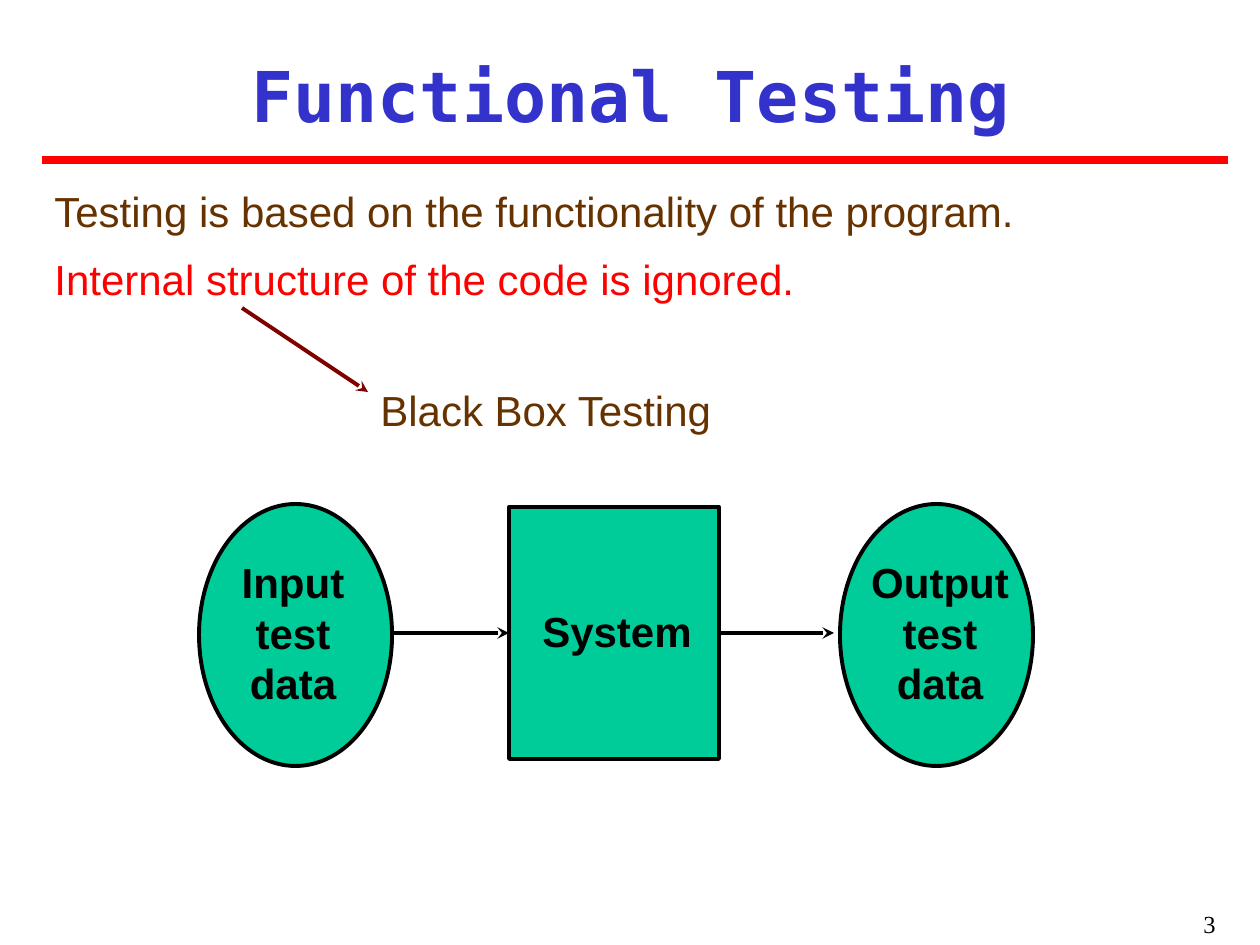
from dataclasses import dataclass

from lxml import etree
from pptx import Presentation
from pptx import util as u
from pptx.dml.color import RGBColor
from pptx.enum import shapes, text
from pptx.oxml.ns import qn

PX = u.Inches(1) // 126


@dataclass(frozen=True)
class Theme:
    title: str = "3333CC"
    body: str = "663300"
    alert: str = "FF0000"
    pointer: str = "800000"
    ink: str = "000000"
    node: str = "00CC99"
    title_font: str = "DejaVu Sans Mono"
    body_font: str = "Arial"
    number_font: str = "Times New Roman"
    title_size: float = 40
    body_size: float = 24
    number_size: float = 14
    rule_width: float = 4.5
    line_width: float = 2.25


THEME = Theme()
ALIGN = text.PP_ALIGN
OVAL = shapes.MSO_SHAPE.OVAL
RECTANGLE = shapes.MSO_SHAPE.RECTANGLE

TITLE = "Functional Testing"
STATEMENTS = [
    ("Testing is based on the functionality of the program.", THEME.body),
    ("Internal structure of the code is ignored.", THEME.alert),
]
CONCLUSION = [("Black Box Testing", THEME.body)]
SLIDE_NUMBER = "3"

# Label, shape, box of the shape, left and top of the label, label height
NODES = [
    ("Input test data", OVAL, (199, 504, 193, 262), (209, 557), 151),
    ("System", RECTANGLE, (509, 507, 210, 252), (533, 606), 50),
    ("Output test data", OVAL, (840, 504, 193, 262), (856, 557), 151),
]
LABEL_WIDTH = 168
FLOW_Y = 633


def color(value):
    return RGBColor.from_string(value)


def scaled(*lengths):
    return [length * PX for length in lengths]


def fill_text(shape, lines, align, font, size, bold=False, inset=(0, 0),
              gap=0, anchor=text.MSO_ANCHOR.TOP):
    """Write (text, colour) lines into a shape, one paragraph each."""
    frame = shape.text_frame
    frame.word_wrap = True
    frame.auto_size = text.MSO_AUTO_SIZE.NONE
    frame.vertical_anchor = anchor
    frame.margin_left = frame.margin_right = u.Inches(inset[0])
    frame.margin_top = frame.margin_bottom = u.Inches(inset[1])
    frame.text = "\n".join(line for line, _ in lines)
    for index, (paragraph, (_, ink)) in enumerate(zip(frame.paragraphs, lines)):
        paragraph.alignment = align
        paragraph.space_before = u.Pt(gap if index else 0)
        paragraph.space_after = u.Pt(gap)
        for run in paragraph.runs:
            run.font.name = font
            run.font.size = u.Pt(size)
            run.font.bold = bold
            run.font.color.rgb = color(ink)


def add_text(slide, box, lines, align, font=THEME.body_font,
             size=THEME.body_size, **options):
    shape = slide.shapes.add_textbox(*scaled(*box))
    fill_text(shape, lines, align, font, size, **options)


def add_line(slide, start, end, ink, width=THEME.line_width, arrow=True):
    line = slide.shapes.add_connector(
        shapes.MSO_CONNECTOR.STRAIGHT, *scaled(*start, *end))
    line.line.color.rgb = color(ink)
    line.line.width = u.Pt(width)
    if arrow:
        etree.SubElement(line.line._get_or_add_ln(), qn("a:tailEnd"),
                         type="stealth")
    etree.SubElement(line._element.spPr, qn("a:effectLst"))
    return line


def add_node(slide, kind, box):
    node = slide.shapes.add_shape(kind, *scaled(*box))
    node.shadow.inherit = False
    node.fill.solid()
    node.fill.fore_color.rgb = color(THEME.node)
    node.line.color.rgb = color(THEME.ink)
    node.line.width = u.Pt(THEME.line_width)
    return node


def add_title(slide):
    title = slide.shapes.title
    title.left, title.top, title.width, title.height = scaled(32, 42, 1197, 105)
    fill_text(title, [(TITLE, THEME.title)], ALIGN.CENTER, THEME.title_font,
              THEME.title_size, bold=True, inset=(0.02, 0.05),
              anchor=text.MSO_ANCHOR.MIDDLE)


def add_flow(slide):
    nodes = [add_node(slide, kind, box) for _, kind, box, _, _ in NODES]
    for label, _, _, corner, height in NODES:
        add_text(slide, (*corner, LABEL_WIDTH, height), [(label, THEME.ink)],
                 ALIGN.CENTER, bold=True)
    system = nodes[1]
    incoming = add_line(slide, (394, FLOW_Y), (509, FLOW_Y), THEME.ink)
    incoming.end_connect(system, 1)
    outgoing = add_line(slide, (719, FLOW_Y), (834, FLOW_Y), THEME.ink)
    outgoing.begin_connect(system, 3)


def main():
    presentation = Presentation()
    presentation.slide_width, presentation.slide_height = scaled(1260, 945)
    slide = presentation.slides.add_slide(presentation.slide_layouts[5])

    add_title(slide)
    add_line(slide, (42, 160), (1228, 160), THEME.alert, THEME.rule_width,
             arrow=False)
    body = {"inset": (0.1, 0.05), "gap": 5}
    add_text(slide, (42, 179, 1176, 131), STATEMENTS, ALIGN.JUSTIFY, **body)
    add_line(slide, (242, 308), (368, 392), THEME.pointer)
    add_text(slide, (368, 378, 368, 63), CONCLUSION, ALIGN.JUSTIFY, **body)
    add_flow(slide)
    add_text(slide, (966, 903, 262, 42), [(SLIDE_NUMBER, THEME.ink)],
             ALIGN.RIGHT, THEME.number_font, THEME.number_size,
             inset=(0.1, 0.05))
    presentation.save("out.pptx")


if __name__ == "__main__":
    main()
